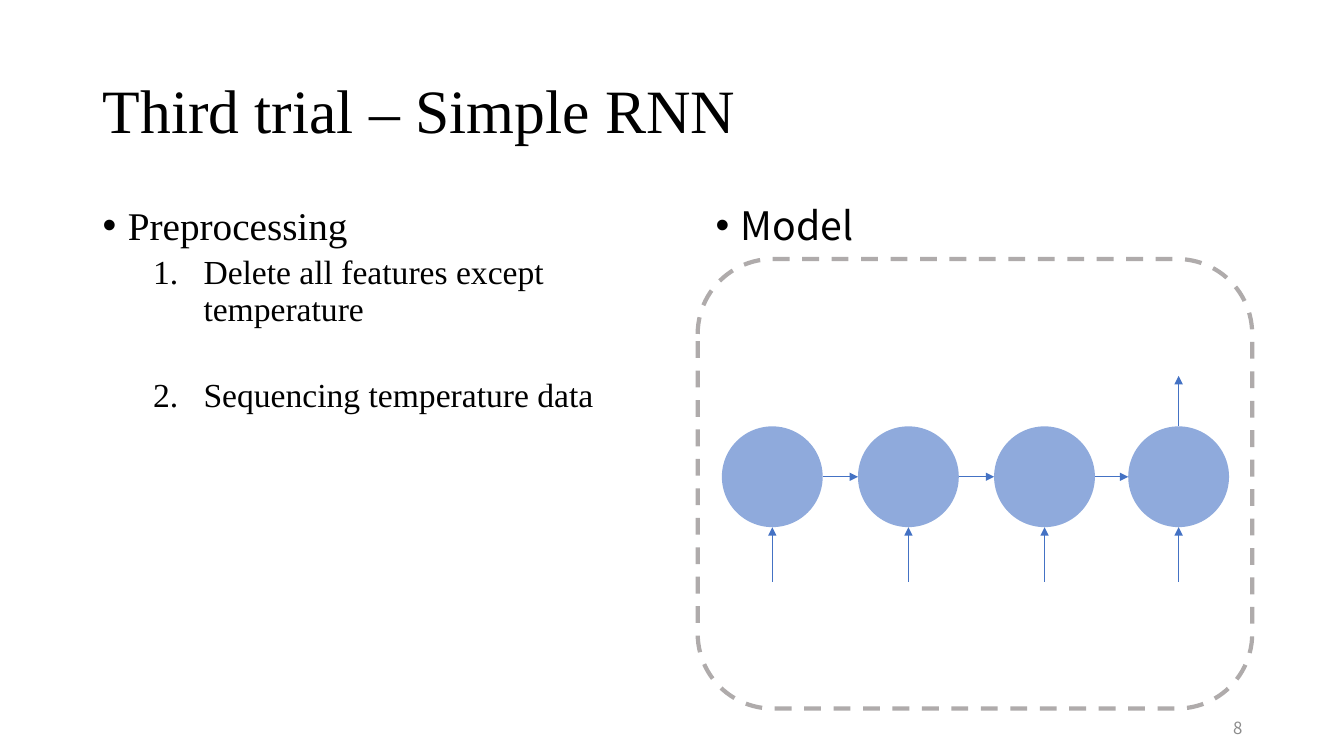
from dataclasses import dataclass

import pptx
import pptx.dml.color
import pptx.enum.dml
import pptx.enum.shapes
import pptx.enum.text
import pptx.oxml.ns
import pptx.oxml.xmlchemy
import pptx.util
from lxml import etree

EMU_PER_PX = 9144  # 100 px to the inch

BLACK = pptx.dml.color.RGBColor(0x00, 0x00, 0x00)
NUMBER_GREY = pptx.dml.color.RGBColor(0x8C, 0x8C, 0x8C)
FRAME_GREY = pptx.dml.color.RGBColor(0xAF, 0xAB, 0xAB)
CELL_BLUE = pptx.dml.color.RGBColor(0x8F, 0xAA, 0xDC)
ARROW_BLUE = pptx.dml.color.RGBColor(0x44, 0x72, 0xC4)

SERIF = "Times New Roman"
SANS = "Noto Sans CJK KR"

Shapes = pptx.enum.shapes.MSO_SHAPE
Anchor = pptx.enum.text.MSO_ANCHOR
Align = pptx.enum.text.PP_ALIGN


@dataclass(frozen=True)
class Line:
    text: str
    size: int
    font: str = SERIF
    color: pptx.dml.color.RGBColor = BLACK
    marker: str = ""  # "bullet", "number" or none
    space_before: int = 0
    align: Align = Align.LEFT


@dataclass(frozen=True)
class TextBox:
    left: int
    top: int
    width: int
    height: int
    lines: tuple[Line, ...]
    anchor: Anchor = Anchor.TOP


@dataclass(frozen=True)
class Arrow:
    start_x: int
    start_y: int
    end_x: int
    end_y: int


def px(length: int) -> pptx.util.Emu:
    return pptx.util.Emu(length * EMU_PER_PX)


def add_marker(paragraph, marker: str) -> None:
    """Give a paragraph its hanging indent and its bullet or number."""
    properties = paragraph._p.get_or_add_pPr()
    left, hanging = (25, 25) if marker == "bullet" else (100, 50)
    properties.set("marL", str(px(left)))
    properties.set("indent", str(px(-hanging)))
    if marker == "bullet":
        font = etree.SubElement(properties, pptx.oxml.ns.qn("a:buFont"))
        font.set("typeface", "Arial")
        bullet = etree.SubElement(properties, pptx.oxml.ns.qn("a:buChar"))
        bullet.set("char", "•")
    else:
        properties.set("lvl", "1")
        number = etree.SubElement(properties, pptx.oxml.ns.qn("a:buAutoNum"))
        number.set("type", "arabicPeriod")


def add_text(slide, box: TextBox) -> None:
    shape = slide.shapes.add_textbox(px(box.left), px(box.top), px(box.width), px(box.height))
    frame = shape.text_frame
    frame.word_wrap = True
    frame.vertical_anchor = box.anchor
    for index, line in enumerate(box.lines):
        paragraph = frame.add_paragraph() if index else frame.paragraphs[0]
        paragraph.text = line.text
        if line.marker:
            add_marker(paragraph, line.marker)
        paragraph.alignment = line.align
        paragraph.line_spacing = 0.9
        paragraph.space_before = pptx.util.Pt(line.space_before)
        font = paragraph.runs[0].font
        font.name = line.font
        font.size = pptx.util.Pt(line.size)
        font.color.rgb = line.color


def add_cell(slide, left: int, top: int, diameter: int) -> None:
    cell = slide.shapes.add_shape(Shapes.OVAL, px(left), px(top), px(diameter), px(diameter))
    cell.shadow.inherit = False
    cell.fill.solid()
    cell.fill.fore_color.rgb = CELL_BLUE
    cell.line.fill.background()


def add_arrow(slide, arrow: Arrow) -> None:
    connector = slide.shapes.add_connector(
        pptx.enum.shapes.MSO_CONNECTOR.STRAIGHT,
        px(arrow.start_x), px(arrow.start_y), px(arrow.end_x), px(arrow.end_y),
    )
    connector.line.color.rgb = ARROW_BLUE
    connector.line.width = pptx.util.Pt(0.5)
    head = etree.SubElement(connector.line._get_or_add_ln(), pptx.oxml.ns.qn("a:tailEnd"))
    head.set("type", "triangle")
    etree.SubElement(connector._element.spPr, pptx.oxml.ns.qn("a:effectLst"))


def add_frame(slide, left: int, top: int, width: int, height: int) -> None:
    frame = slide.shapes.add_shape(
        Shapes.ROUNDED_RECTANGLE, px(left), px(top), px(width), px(height)
    )
    frame.shadow.inherit = False
    frame.fill.background()
    frame.line.color.rgb = FRAME_GREY
    frame.line.width = pptx.util.Pt(3)
    frame.line.dash_style = pptx.enum.dml.MSO_LINE.DASH


TEXT_BOXES = (
    TextBox(92, 40, 1150, 145, (Line("Third trial – Simple RNN", 44),), Anchor.MIDDLE),
    TextBox(92, 200, 608, 476, (
        Line("Preprocessing", 28, marker="bullet"),
        Line("Delete all features except temperature", 24, marker="number", space_before=5),
        Line("Sequencing temperature data", 24, marker="number", space_before=36),
    )),
    TextBox(700, 200, 608, 476, (Line("Model", 28, SANS, marker="bullet"),)),
    TextBox(942, 703, 300, 40,
            (Line("8", 12, SANS, NUMBER_GREY, align=Align.RIGHT),), Anchor.MIDDLE),
)

# Recurrent cells, left to right
CELL_LEFTS = (716, 851, 986, 1119)
CELL_TOP = 423
DIAMETER = 100
RADIUS = DIAMETER // 2
CELL_BOTTOM = CELL_TOP + DIAMETER
INPUT_LENGTH = 54
OUTPUT_LENGTH = 50


def main() -> None:
    presentation = pptx.Presentation()
    presentation.slide_width = px(1333)
    presentation.slide_height = px(750)
    slide = presentation.slides.add_slide(presentation.slide_layouts[6])

    # Title, both columns and slide number
    for box in TEXT_BOXES:
        add_text(slide, box)

    # Cells with their inputs
    for left in CELL_LEFTS:
        add_cell(slide, left, CELL_TOP, DIAMETER)
        center = left + RADIUS
        add_arrow(slide, Arrow(center, CELL_BOTTOM + INPUT_LENGTH, center, CELL_BOTTOM))

    # State passed from each cell to the next
    middle = CELL_TOP + RADIUS
    for left, next_left in zip(CELL_LEFTS, CELL_LEFTS[1:]):
        add_arrow(slide, Arrow(left + DIAMETER, middle, next_left, middle))

    # Output of the last cell
    output_x = CELL_LEFTS[-1] + RADIUS
    add_arrow(slide, Arrow(output_x, CELL_TOP, output_x, CELL_TOP - OUTPUT_LENGTH))

    # Dashed frame around the model
    add_frame(slide, 692, 257, 550, 446)

    presentation.save("out.pptx")


if __name__ == "__main__":
    main()
